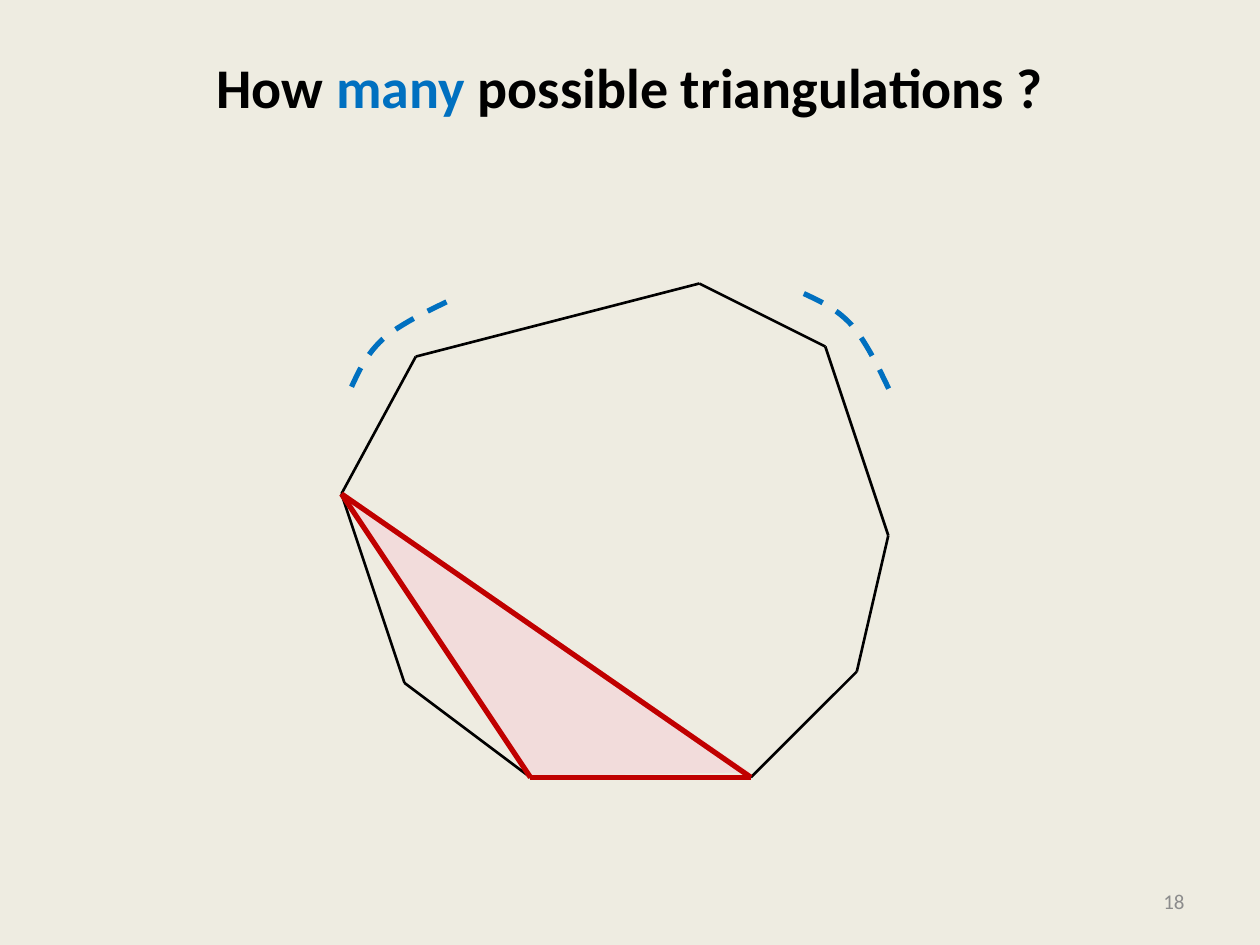
from itertools import pairwise

from pptx import Presentation
from pptx.dml.color import RGBColor
from pptx.enum.dml import MSO_LINE
from pptx.enum.shapes import MSO_CONNECTOR
from pptx.enum.text import MSO_ANCHOR, PP_ALIGN
from pptx.oxml.ns import qn
from pptx.util import Emu, Pt
from lxml.etree import SubElement

CREAM = RGBColor(0xEE, 0xEC, 0xE1)
BLACK = RGBColor(0x00, 0x00, 0x00)
BLUE = RGBColor(0x00, 0x70, 0xC0)
RED = RGBColor(0xC0, 0x00, 0x00)
PINK = RGBColor(0xF2, 0xDC, 0xDB)
GRAY = RGBColor(0x8C, 0x8C, 0x8C)

EMU_PER_PX = 9144  # 100 px to the inch


def px(value):
    return Emu(round(value * EMU_PER_PX))


def curve_points(start, *segments, steps=12):
    """Points along a chain of cubic Bezier segments."""
    points = [start]
    for first, second, end in segments:
        origin = points[-1]
        for step in range(1, steps + 1):
            t = step / steps
            weights = ((1 - t) ** 3, 3 * t * (1 - t) ** 2, 3 * t * t * (1 - t), t ** 3)
            corners = (origin, first, second, end)
            points.append(tuple(
                sum(weight * corner[axis] for weight, corner in zip(weights, corners))
                for axis in (0, 1)))
    return points


class SlideBuilder:
    font_name = "Calibri"

    def __init__(self, deck):
        self.page = deck.slides.add_slide(deck.slide_layouts[5])
        self.page.background.fill.solid()
        self.page.background.fill.fore_color.rgb = CREAM

    def style_span(self, span, size, color, bold=False):
        span.font.name = self.font_name
        span.font.size = Pt(size)
        span.font.bold = bold
        span.font.color.rgb = color

    def title(self, left, top, width, height, pieces):
        box = self.page.shapes.title
        box.left, box.top, box.width, box.height = map(px, (left, top, width, height))
        frame = box.text_frame
        frame.vertical_anchor = MSO_ANCHOR.TOP
        frame.margin_top = px(12)
        para = frame.paragraphs[0]
        para.alignment = PP_ALIGN.CENTER
        for text, color in pieces:
            span = para.add_run()
            span.text = text
            self.style_span(span, 32, color, bold=True)

    def page_number(self, left, top, width, height, text):
        box = self.page.shapes.add_textbox(*map(px, (left, top, width, height)))
        frame = box.text_frame
        frame.word_wrap = True
        frame.vertical_anchor = MSO_ANCHOR.MIDDLE
        frame.text = text
        para = frame.paragraphs[0]
        para.alignment = PP_ALIGN.RIGHT
        self.style_span(para.runs[0], 12, GRAY)

    def outline(self, points, close):
        start, *rest = [(px(x), px(y)) for x, y in points]
        builder = self.page.shapes.build_freeform(*start, scale=1.0)
        builder.add_line_segments(rest, close=close)
        shape = builder.convert_to_shape()
        shape.shadow.inherit = False
        return shape

    def area(self, points, color):
        shape = self.outline(points, close=True)
        shape.fill.solid()
        shape.fill.fore_color.rgb = color
        shape.line.fill.background()

    def dashed_curve(self, points, color, weight):
        shape = self.outline(points, close=False)
        shape.fill.background()
        shape.line.color.rgb = color
        shape.line.width = Pt(weight)
        shape.line.dash_style = MSO_LINE.DASH

    def closed_lines(self, points, color, weight):
        for start, end in pairwise([*points, points[0]]):
            line = self.page.shapes.add_connector(
                MSO_CONNECTOR.STRAIGHT, *map(px, (*start, *end)))
            line.line.color.rgb = color
            line.line.width = Pt(weight)
            SubElement(line._element.spPr, qn("a:effectLst"))


def main():
    deck = Presentation()
    deck.slide_width, deck.slide_height = px(1000), px(750)
    slide = SlideBuilder(deck)

    # Title and page number
    slide.title(50, 30, 900, 125, [
        ("How ", BLACK), ("many ", BLUE), ("possible triangulations ?", BLACK)])
    slide.page_number(717, 695, 233, 40, "18")

    # Polygon, with one triangle on its bottom side
    left_corner, bottom_left, bottom_right = (271, 392), (421, 617), (596, 617)
    triangle = [left_corner, bottom_left, bottom_right]
    polygon = [left_corner, (321, 542), bottom_left, bottom_right, (680, 533),
               (705, 425), (655, 275), (555, 225), (330, 283)]
    slide.area([(270, 391), (422, 616), (595, 613)], PINK)
    slide.closed_lines(polygon, BLACK, 1.5)

    # Dashed arcs around the two upper chains
    slide.dashed_curve(curve_points(
        (638, 233),
        ((651, 239), (664, 245), (676, 258)),
        ((688, 272), (698, 293), (708, 314))), BLUE, 3)
    slide.dashed_curve(curve_points(
        (279, 307),
        ((285, 294), (291, 281), (304, 269)),
        ((318, 257), (339, 247), (360, 237))), BLUE, 3)

    # Triangle sides
    slide.closed_lines(triangle, RED, 3)

    deck.save("out.pptx")


if __name__ == "__main__":
    main()
